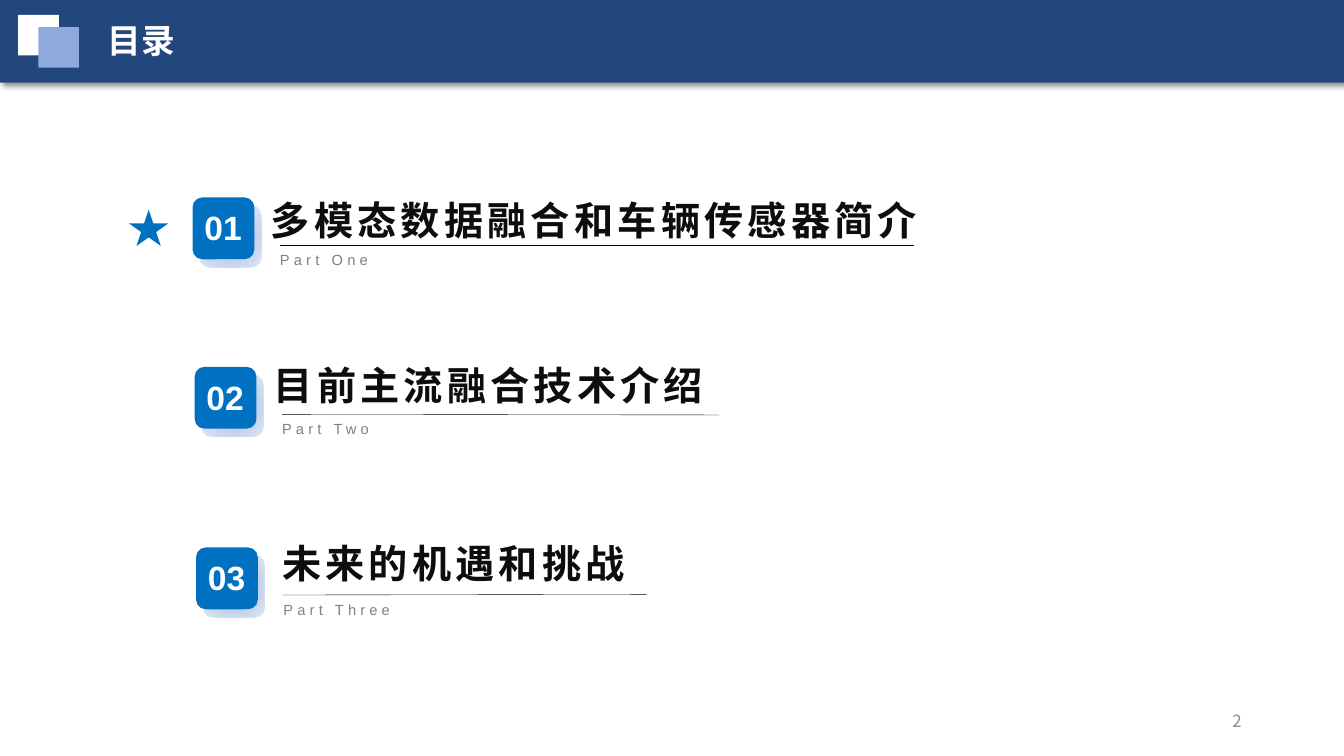
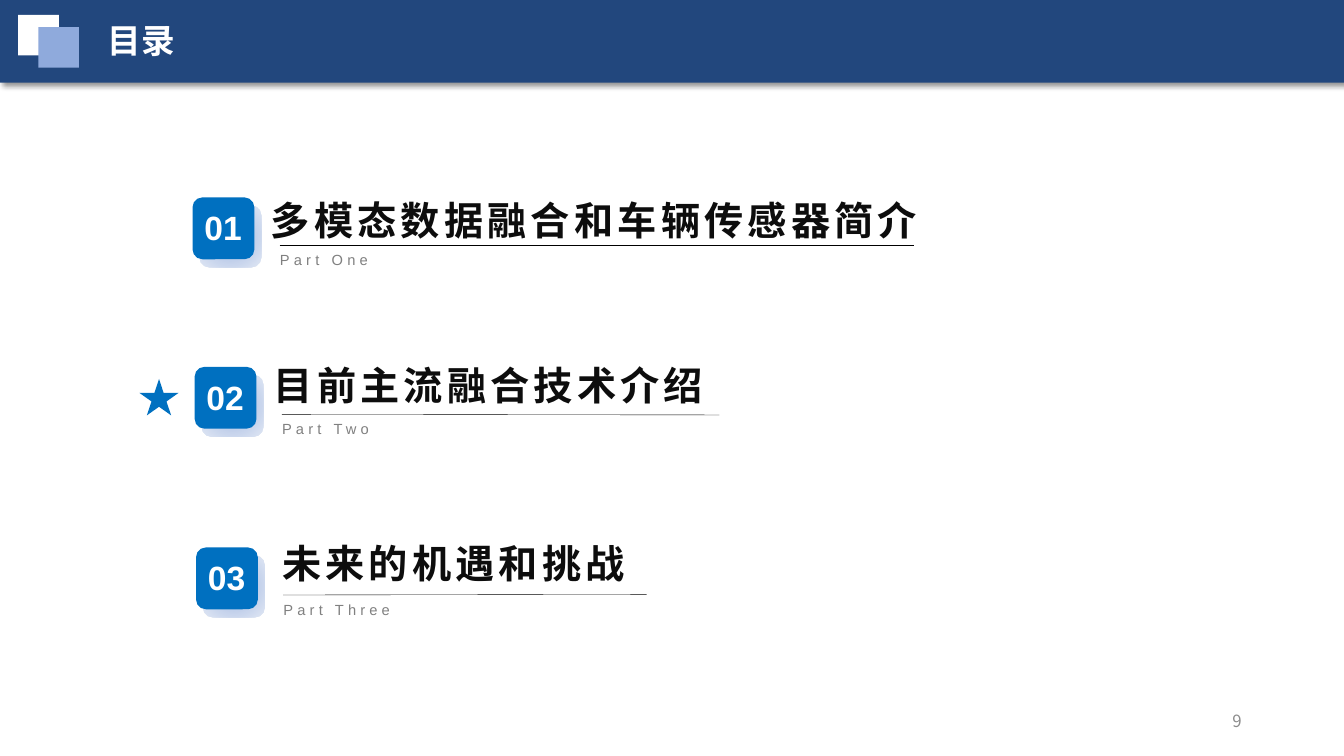
from dataclasses import dataclass

from lxml import etree
from pptx import Presentation
from pptx.dml.color import RGBColor
from pptx.enum.shapes import MSO_CONNECTOR, MSO_SHAPE
from pptx.enum.text import MSO_ANCHOR, MSO_AUTO_SIZE, PP_ALIGN
from pptx.oxml.ns import qn
from pptx.util import Pt

RECT = MSO_SHAPE.RECTANGLE
ROUND = MSO_SHAPE.ROUNDED_RECTANGLE
STAR = MSO_SHAPE.STAR_5_POINT
LINE = MSO_CONNECTOR.STRAIGHT
MIDDLE = MSO_ANCHOR.MIDDLE
RIGHT = PP_ALIGN.RIGHT
GROW = MSO_AUTO_SIZE.SHAPE_TO_FIT_TEXT
FIXED = MSO_AUTO_SIZE.NONE

COLORS = {
    "band": "22477D", "white": "FFFFFF", "pale": "8FAADC", "blue": "0070C0",
    "grey": "808080", "page": "8C8C8C", "black": "000000",
    "ink": "0D0D0D", "fade": "595959",
    "glow": "94B1E1", "haze": "BFCEEA", "mist": "E0E7F4",
}
GLOW = ((0, "glow"), (50, "haze"), (100, "mist"))
SANS = "Noto Sans CJK SC"
ARIAL = "Arial"
WIDTH, HEIGHT = 960, 540
TILE = 44.2


@dataclass(frozen=True)
class Style:
    size: float
    face: str
    color: str
    bold: bool = False
    space: float = 0
    fade: str = ""


@dataclass(frozen=True)
class Item:
    num: str
    title: str
    label: str
    left: float
    top: float
    dx: float
    dy: float
    wide: float
    rule: float
    drop: float = 0


@dataclass(frozen=True)
class Page:
    num: str
    pick: int
    star: float


HEAD = Style(24, SANS, "white", True)
FOOT = Style(12, SANS, "page")
DIGIT = Style(24, ARIAL, "white", True)
TOPIC = Style(28, ARIAL, "ink", True, 3, "fade")
SUB = Style(10.5, ARIAL, "grey", space=3)

ITEMS = (
    Item("01", "多模态数据融合和车辆传感器简介", "Part One",
         137.5, 141, 49, -4.2, 578.2, 453),
    Item("02", "目前主流融合技术介绍", "Part Two",
         139, 262, 49.6, -7.8, 371.5, 312.5, 0.4),
    Item("03", "未来的机遇和挑战", "Part Three",
         140, 391, 54.4, -9.4, 277.2, 259.5, -0.4),
)
PAGES = (Page("2", 0, 92.2), Page("9", 1, 99.6))


def rgb(name: str) -> RGBColor:
    return RGBColor.from_string(COLORS[name])


def node(root, tag: str, **attrs):
    return etree.SubElement(root, qn(tag), {key: str(val) for key, val in attrs.items()})


def add_box(shapes, kind, left: float, top: float, wide: float, high: float, color: str):
    box = shapes.add_shape(kind, Pt(left), Pt(top), Pt(wide), Pt(high))
    box.shadow.inherit = False
    box.fill.solid()
    box.fill.fore_color.rgb = rgb(color)
    box.line.fill.background()
    return box


def add_text(shapes, text: str, left: float, top: float, wide: float, high: float,
             style: Style, wrap: bool = True):
    box = shapes.add_textbox(Pt(left), Pt(top), Pt(wide), Pt(high))
    frame = box.text_frame
    frame.word_wrap = wrap
    frame.auto_size = GROW
    frame.text = text
    font = frame.paragraphs[0].font
    font.size = Pt(style.size)
    font.bold = style.bold
    font.name = style.face
    if style.fade:
        font.fill.gradient()
        font.fill.gradient_angle = 270
        for stop, name in zip(font.fill.gradient_stops, (style.color, style.fade)):
            stop.color.rgb = rgb(name)
    else:
        font.color.rgb = rgb(style.color)
    props = frame.paragraphs[0]._p.pPr.find(qn("a:defRPr"))
    if style.space:
        props.set("spc", str(int(style.space * 100)))
    node(props, "a:ea", typeface=SANS)
    return frame


def add_rule(shapes, left: float, top: float, wide: float, drop: float) -> None:
    rule = shapes.add_connector(LINE, Pt(left), Pt(top), Pt(left + wide), Pt(top + drop))
    rule.line.color.rgb = rgb("black")
    rule.line.width = Pt(0.25)
    node(rule._element.spPr, "a:effectLst")


def add_glow(box) -> None:
    box.fill.background()
    props = box._element.spPr
    grad = etree.Element(qn("a:gradFill"), rotWithShape="1")
    stops = node(grad, "a:gsLst")
    for pos, name in GLOW:
        node(node(stops, "a:gs", pos=pos * 1000), "a:srgbClr", val=COLORS[name])
    ring = node(grad, "a:path", path="circle")
    node(ring, "a:fillToRect", l=50000, t=50000, r=50000, b=50000)
    props.replace(props.find(qn("a:noFill")), grad)


def add_shade(box) -> None:
    effects = box._element.spPr.find(qn("a:effectLst"))
    shade = node(effects, "a:outerShdw", blurRad=int(Pt(4)), dist=int(Pt(3)),
                 dir=45 * 60000, algn="tl", rotWithShape=0)
    node(node(shade, "a:srgbClr", val=COLORS["black"]), "a:alpha", val=40000)


def add_frame(shapes, num: str) -> None:
    add_shade(add_box(shapes, RECT, 0, 0, WIDTH, 59, "band"))
    add_box(shapes, RECT, 13, 10.6, 29, 29, "white")
    add_box(shapes, RECT, 27.4, 19.4, 29, 29, "pale")
    add_text(shapes, "目录", 70, 10.8, 316, 36, HEAD)
    foot = add_text(shapes, num, 678, 500.5, 216, 28.8, FOOT)
    foot.auto_size = FIXED
    foot.vertical_anchor = MIDDLE
    foot.paragraphs[0].alignment = RIGHT


def add_item(shapes, item: Item) -> None:
    group = shapes.add_group_shape().shapes
    left, top = item.left, item.top
    add_text(group, item.label, left + 55.4, top + 34.6, 221.8, 20, SUB)
    add_rule(group, left + 62.3, top + 34, item.rule, item.drop)
    back = add_box(group, ROUND, left + 5, top + 5.8, TILE, TILE, "pale")
    add_glow(back)
    tile = add_box(group, ROUND, left, top, TILE, TILE, "blue")
    for box in (back, tile):
        box.adjustments[0] = 0.16
    add_text(group, item.num, left + 1.4, top + 3.4, 41.8, 36, DIGIT, False)
    add_text(group, item.title, left + item.dx, top + item.dy, item.wide, 41, TOPIC)


def main() -> None:
    deck = Presentation()
    deck.slide_width, deck.slide_height = Pt(WIDTH), Pt(HEIGHT)
    for page in PAGES:
        shapes = deck.slides.add_slide(deck.slide_layouts[6]).shapes
        add_frame(shapes, page.num)
        for item in ITEMS:
            add_item(shapes, item)
        add_box(shapes, STAR, page.star, ITEMS[page.pick].top + 8.7, 28, 26, "blue")
    deck.save("out.pptx")


if __name__ == "__main__":
    main()
